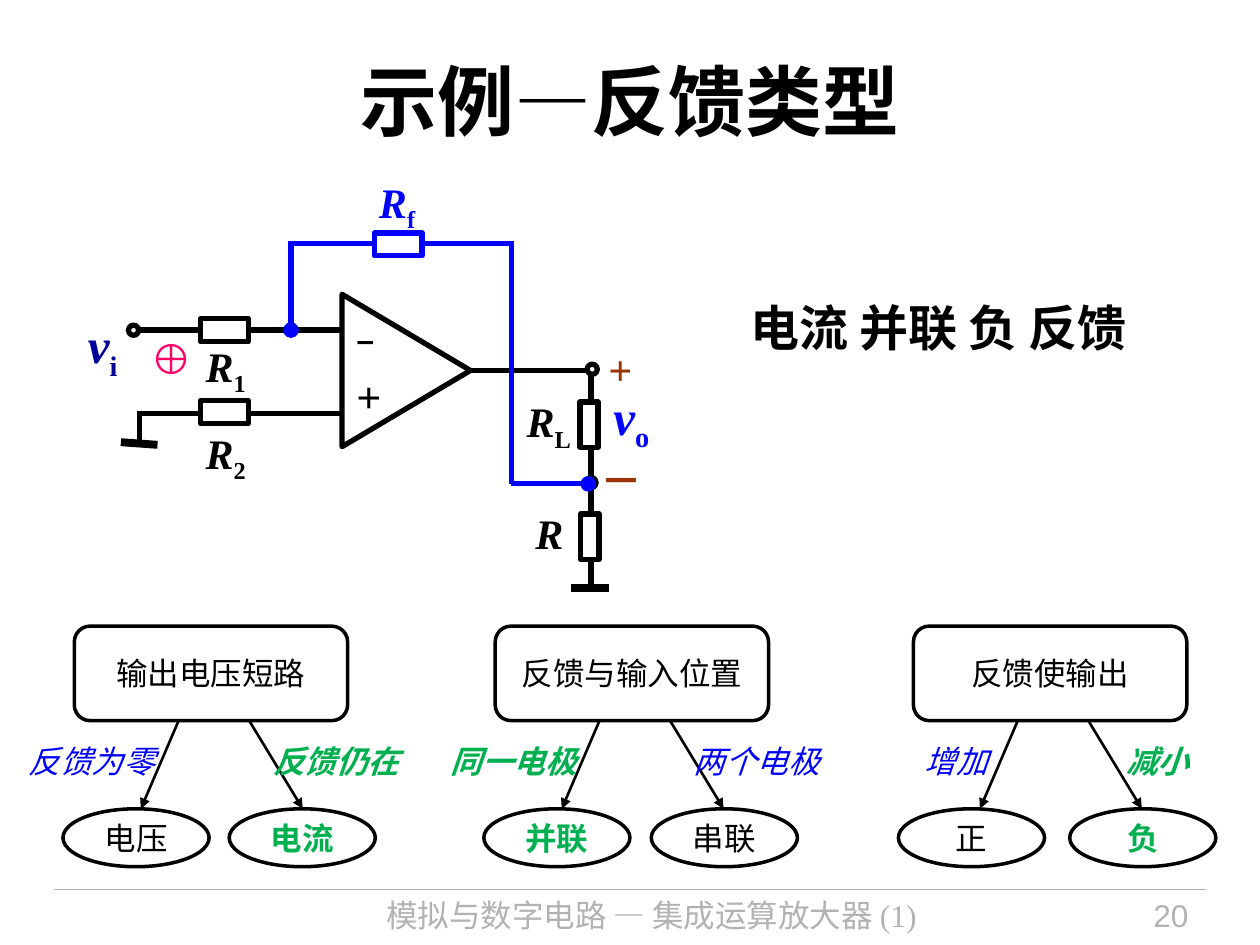
from lxml.etree import SubElement
from pptx import Presentation
from pptx.dml.color import RGBColor
from pptx.enum.shapes import MSO_CONNECTOR, MSO_SHAPE as Shape
from pptx.enum.text import MSO_ANCHOR as Anchor, PP_ALIGN as Align
from pptx.oxml.ns import qn
from pptx.util import Pt

BLACK = RGBColor(0, 0, 0)
WHITE = RGBColor(255, 255, 255)
GRAY = RGBColor(0xB2, 0xB2, 0xB2)
BLUE = RGBColor(0, 0, 255)
NAVY = RGBColor(0, 0, 0x99)
GREEN = RGBColor(0, 0xB0, 0x50)
BROWN = RGBColor(0x99, 0x33, 0)
PINK = RGBColor(0xFF, 0, 0x66)
SERIF, SANS = "Times New Roman", "Arial"


class SlideBuilder:
    """Holds the slide and its style; all lengths are in points."""

    wire_width = 3

    def __init__(self, slide):
        self.slide = slide

    def set_text(self, frame, text, size, color, font=SANS, bold=False,
                 italic=False, align=Align.LEFT, anchor=Anchor.TOP, subscript=""):
        frame.word_wrap = True
        frame.vertical_anchor = anchor
        paragraph = frame.paragraphs[0]
        paragraph.alignment = align
        style = paragraph.font
        style.name, style.size, style.bold = font, Pt(size), bold
        style.color.rgb = color
        run = paragraph.add_run()
        run.text = text
        if subscript:
            run.font.italic = italic
            lower = paragraph.add_run()
            lower.text = subscript
            lower.font.italic = False
            lower.font._element.set("baseline", "-25000")
        else:
            style.italic = italic

    def title(self, text, left, top, width, height):
        shape = self.slide.shapes.title
        shape.left, shape.top = Pt(left), Pt(top)
        shape.width, shape.height = Pt(width), Pt(height)
        self.set_text(shape.text_frame, text, 44, BLACK, SERIF, bold=True,
                      align=Align.CENTER, anchor=Anchor.MIDDLE)

    def text(self, text, left, top, width, height, size, color, **style):
        box = self.slide.shapes.add_textbox(Pt(left), Pt(top), Pt(width), Pt(height))
        self.set_text(box.text_frame, text, size, color, **style)
        return box.text_frame

    def symbol(self, text, subscript, left, top, size=24, color=BLACK):
        self.text(text, left, top, 44, 36, size, color, font=SERIF, bold=True,
                  italic=True, subscript=subscript)

    def pin_sign(self, text, top, height, size, bold):
        frame = self.text(text, 203.8, top, 14, height, size, BLACK,
                          bold=bold, anchor=Anchor.MIDDLE)
        frame.margin_left = frame.margin_right = 0
        frame.margin_top = frame.margin_bottom = 0
        frame.word_wrap = False

    def shape(self, kind, left, top, width, height, fill=None, line=BLACK,
              line_width=wire_width):
        shape = self.slide.shapes.add_shape(
            kind, Pt(left), Pt(top), Pt(width), Pt(height))
        shape.shadow.inherit = False
        if fill is None:
            shape.fill.background()
        else:
            shape.fill.solid()
            shape.fill.fore_color.rgb = fill
        shape.line.color.rgb = line
        shape.line.width = Pt(line_width)
        return shape

    def resistor(self, left, top, width=27.4, height=13, color=BLACK):
        self.shape(Shape.RECTANGLE, left, top, width, height, WHITE, color)

    def terminal(self, left, top):
        self.shape(Shape.OVAL, left, top, 5.8, 5.8, WHITE)

    def node(self, kind, text, left, top, width, height, color=BLACK):
        shape = self.shape(kind, left, top, width, height, line_width=2)
        self.set_text(shape.text_frame, text, 18, color, bold=color == GREEN,
                      align=Align.CENTER, anchor=Anchor.MIDDLE)

    def line(self, x1, y1, x2, y2, color=BLACK, width=wire_width, tail=None):
        connector = self.slide.shapes.add_connector(
            MSO_CONNECTOR.STRAIGHT, Pt(x1), Pt(y1), Pt(x2), Pt(y2))
        connector.line.color.rgb = color
        connector.line.width = Pt(width)
        properties = connector._element.spPr
        if tail:
            SubElement(properties.find(qn("a:ln")), qn("a:tailEnd"), type=tail)
        SubElement(properties, qn("a:effectLst"))

    def decision(self, left, question, branches):
        """A question box with two labelled arrows to its answers."""
        self.node(Shape.ROUNDED_RECTANGLE, question, left, 357.8, 156.2, 54)
        arrows = ((59.6, 38), (99.9, 130.5))
        for (start, end), branch in zip(arrows, branches):
            label, label_left, answer, answer_left, chosen = branch
            self.line(left + start, 411.8, left + end, 462.2, width=1.5, tail="triangle")
            self.node(Shape.OVAL, answer, answer_left, 462.2, 83.5, 33.1,
                      GREEN if chosen else BLACK)
            self.text(label, label_left, 420.5, 94, 28.8, 18,
                      GREEN if chosen else BLUE, bold=chosen, italic=True)


def main():
    presentation = Presentation()
    presentation.slide_width, presentation.slide_height = Pt(720), Pt(540)
    slide = presentation.slides.add_slide(presentation.slide_layouts[5])
    builder = SlideBuilder(slide)

    # Footer, title and conclusion
    builder.line(31, 508.3, 689, 508.3, GRAY, 0.75)
    builder.text("模拟与数字电路 — 集成运算放大器 (1)", 179.3, 508.3, 385.9, 31.7,
                 18, GRAY, font=SERIF, align=Align.CENTER)
    builder.text("20", 590.4, 508.3, 95.8, 31.7, 18, GRAY, align=Align.RIGHT)
    builder.title("示例—反馈类型", 36, 12.2, 648, 90)
    builder.text("电流 并联 负 反馈", 412.6, 166.3, 247.7, 74.9, 28, BLACK,
                 bold=True, align=Align.CENTER)

    # Amplifier inputs
    builder.line(79.2, 236.2, 195.8, 236.2)
    builder.line(78.5, 188.6, 195.8, 188.6)
    builder.terminal(73.4, 185.8)
    builder.symbol("v", "i", 43.2, 176.4, 28, NAVY)
    for resistor_top, number, label_top in ((182.2, "1", 190.8), (229, "2", 240.5)):
        builder.resistor(114.5, resistor_top)
        builder.symbol("R", number, 110.5, label_top)
    builder.line(79.9, 234.7, 79.9, 255.6)
    builder.line(69.1, 252.7, 90, 254.2, width=4.5)
    builder.text("⊕", 79.2, 186.5, 36, 36, 24, PINK, font=SERIF, bold=True)

    # Output and load
    builder.line(269.3, 211.7, 334.8, 211.7)
    builder.line(337.7, 213.8, 337.7, 337.7)
    builder.terminal(335.5, 208.1)
    builder.line(326.2, 336.2, 347.8, 336.2, width=4.5)
    builder.terminal(334.8, 272.9)
    builder.resistor(331.4, 229.7, 10.4, 25.9)
    builder.resistor(331.9, 293.8, 10.4, 25.9)
    builder.symbol("R", "L", 293.8, 222.5)
    builder.symbol("R", "", 298.8, 286.6)
    builder.symbol("v", "o", 343.4, 217.4, 28, BLUE)
    for sign, left, top in (("+", 340.6, 193), ("－", 336.2, 256.3)):
        builder.text(sign, left, top, 31, 36, 24, BROWN, font=SERIF, bold=True)

    # Feedback path
    builder.line(166.3, 137.5, 166.3, 188.6, BLUE, tail="oval")
    builder.line(292.3, 137.5, 292.3, 276.5, BLUE)
    builder.line(164.9, 139, 292.3, 139, BLUE)
    builder.line(292.3, 276.5, 336.2, 276.5, BLUE, tail="oval")
    builder.resistor(213.8, 133.2, color=BLUE)
    builder.symbol("R", "f", 209.5, 97.2, color=BLUE)

    # Amplifier
    builder.pin_sign("+", 211.7, 28.8, 24, False)
    builder.pin_sign("–", 182.9, 21.6, 18, True)
    amplifier = builder.shape(Shape.ISOSCELES_TRIANGLE, 188.6, 175, 87.1, 73.4)
    amplifier.rotation = 90

    # Decisions: label, its left, answer, its left, chosen
    builder.decision(42.5, "输出电压短路", (
        ("反馈为零", 9.4, "电压", 36, False), ("反馈仍在", 149, "电流", 131, True)))
    builder.decision(283, "反馈与输入位置", (
        ("同一电极", 250.6, "并联", 276.5, True), ("两个电极", 389.5, "串联", 372.2, False)))
    builder.decision(522, "反馈使输出", (
        ("增加", 521.3, "正", 513.4, False), ("减小", 636.5, "负", 611.3, True)))

    presentation.save("out.pptx")


if __name__ == "__main__":
    main()
